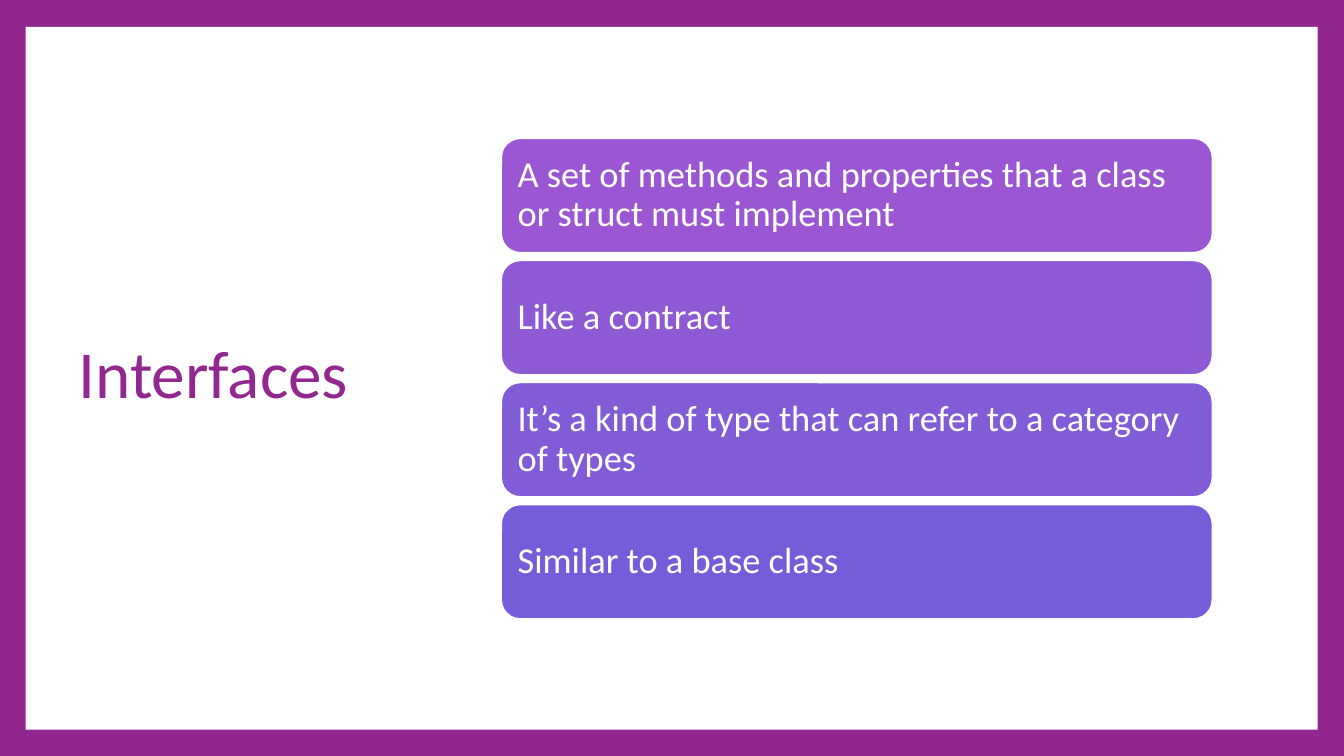
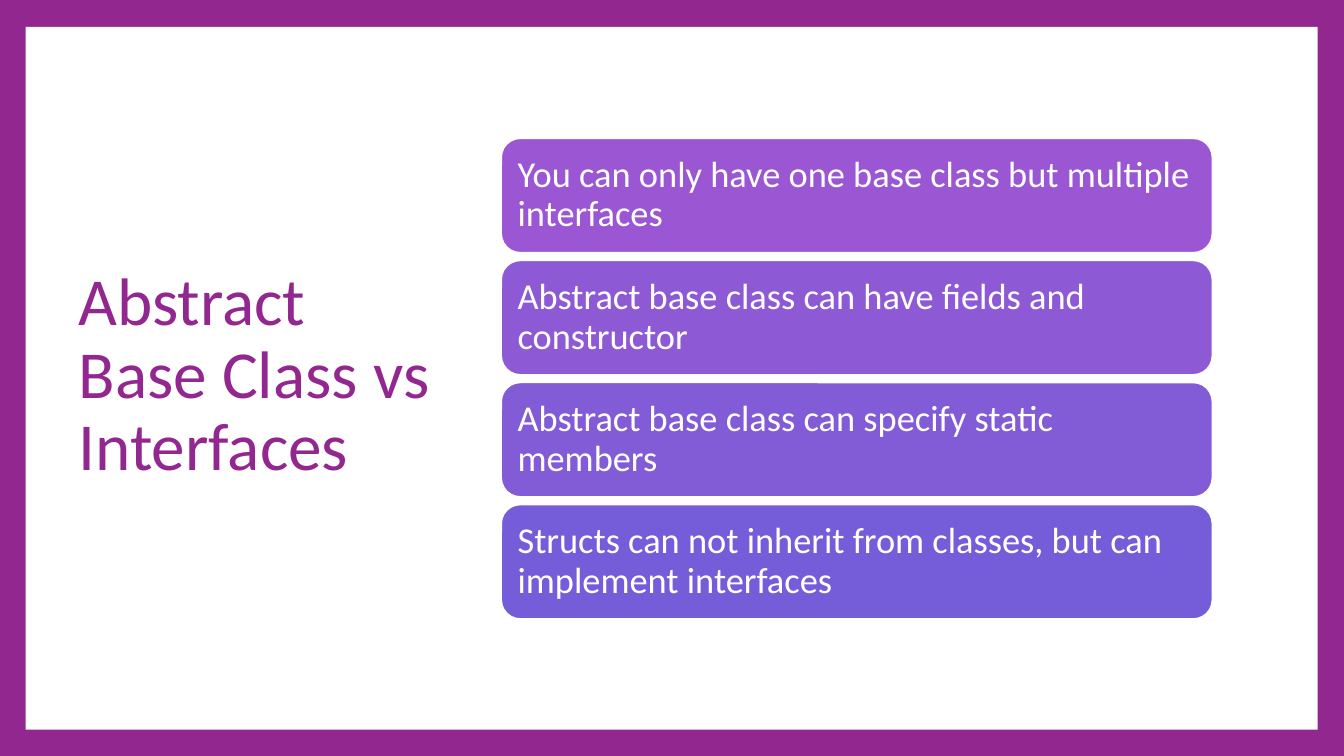
from pptx import Presentation
from pptx.dml.color import RGBColor
from pptx.enum.shapes import MSO_SHAPE
from pptx.enum.text import MSO_ANCHOR, MSO_AUTO_SIZE, PP_ALIGN
from pptx.util import Emu, Pt

RECTANGLE, ROUNDED = MSO_SHAPE.RECTANGLE, MSO_SHAPE.ROUNDED_RECTANGLE
MIDDLE, LEFT, NO_FIT = MSO_ANCHOR.MIDDLE, PP_ALIGN.LEFT, MSO_AUTO_SIZE.NONE

SLIDES = [
    ("Interfaces", [
        "A set of methods and properties that a class or struct must implement",
        "Like a contract",
        "It’s a kind of type that can refer to a category of types",
        "Similar to a base class",
    ]),
    ("Abstract Base Class vs Interfaces", [
        "You can only have one base class but multiple interfaces",
        "Abstract base class can have fields and constructor",
        "Abstract base class can specify static members",
        "Structs can not inherit from classes, but can implement interfaces",
    ]),
]

FONT = "Calibri"
PURPLE = RGBColor(0x92, 0x27, 0x8F)
WHITE = RGBColor(0xFF, 0xFF, 0xFF)
FIRST_CARD = RGBColor(0x9B, 0x57, 0xD3)
LAST_CARD = RGBColor(0x75, 0x5D, 0xD9)

PX_PER_INCH = 100
SLIDE_SIZE = (2000, 1125)
PANEL = (38, 40, 1923, 1046)
TITLE = (107, 100, 552, 920)
CARD_LEFT, CARD_WIDTH, CARD_HEIGHT = 746, 1058, 170
FIRST_TOP, LAST_TOP = 206, 751
CARD_INSET = 16


def px(length):
    return Emu(round(length * 914400 / PX_PER_INCH))


def blend(start, end, share):
    return RGBColor(*(round(a + (b - a) * share) for a, b in zip(start, end)))


def write(shape, text, size, color):
    frame = shape.text_frame
    frame.text = text
    frame.word_wrap = True
    frame.auto_size = NO_FIT
    frame.vertical_anchor = MIDDLE
    para = frame.paragraphs[0]
    para.alignment = LEFT
    para.line_spacing = 0.9
    for span in para.runs:
        span.font.name = FONT
        span.font.size = Pt(size)
        span.font.color.rgb = color


def add_block(page, kind, place, fill):
    block = page.shapes.add_shape(kind, *map(px, place))
    block.shadow.inherit = False
    block.fill.solid()
    block.fill.fore_color.rgb = fill
    block.line.fill.background()
    return block


def add_card(page, text, share):
    top = FIRST_TOP + (LAST_TOP - FIRST_TOP) * share
    card = add_block(page, ROUNDED, (CARD_LEFT, top, CARD_WIDTH, CARD_HEIGHT),
                     blend(FIRST_CARD, LAST_CARD, share))
    card.line.color.rgb = WHITE
    card.line.width = Pt(1.5)
    frame = card.text_frame
    frame.margin_left = frame.margin_right = px(CARD_INSET)
    frame.margin_top = frame.margin_bottom = px(CARD_INSET)
    write(card, text, 39, WHITE)


def add_page(deck, layout, heading, points):
    page = deck.slides.add_slide(layout)
    panel = add_block(page, RECTANGLE, PANEL, WHITE)
    page.shapes.element.insert(2, panel.element)
    title = page.shapes.title
    title.left, title.top, title.width, title.height = map(px, TITLE)
    write(title, heading, 72, PURPLE)
    for index, point in enumerate(points):
        add_card(page, point, index / (len(points) - 1))


def main():
    deck = Presentation()
    deck.slide_width, deck.slide_height = map(px, SLIDE_SIZE)
    background = deck.slide_master.background.fill
    background.solid()
    background.fore_color.rgb = PURPLE
    layout = deck.slide_layouts.get_by_name("Title Only")
    for heading, points in SLIDES:
        add_page(deck, layout, heading, points)
    deck.save("out.pptx")


if __name__ == "__main__":
    main()
